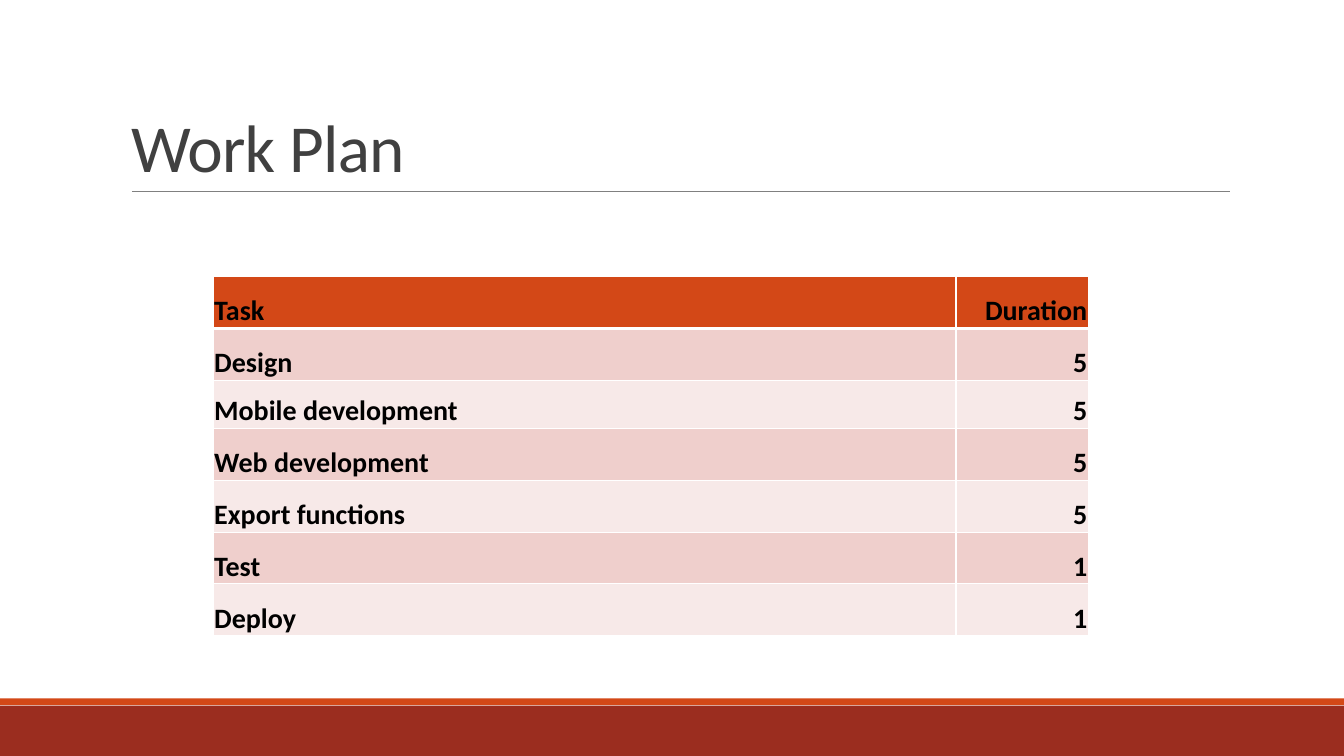
from lxml.etree import SubElement
from pptx import Presentation
from pptx.dml.color import RGBColor
from pptx.enum.shapes import MSO_CONNECTOR as CONN, MSO_SHAPE as SHAPE
from pptx.enum.text import MSO_ANCHOR as ANCHOR, PP_ALIGN as ALIGN
from pptx.oxml import parse_xml
from pptx.oxml.ns import nsdecls, qn
from pptx.util import Pt

ROWS = [
    ("Task", "Duration"),
    ("Design", "5"),
    ("Mobile development", "5"),
    ("Web development", "5"),
    ("Export functions", "5"),
    ("Test", "1"),
    ("Deploy", "1"),
]
ROW_HEIGHTS = [37, 37, 34.5, 37, 37, 37, 37]
COL_WIDTHS = [530.6, 94.4]


def rgb(color):
    return RGBColor.from_string(color)


def apply(obj, values):
    for name, value in values.items():
        setattr(obj, name, value)


class Deck:
    font = "Calibri"
    accent = "D34817"
    dark = "9B2D1F"
    bands = ("F7E9E8", "EFCFCC")
    border = "FFFFFF"

    def __init__(self, width, height):
        self.prs = Presentation()
        apply(self.prs, {"slide_width": Pt(width), "slide_height": Pt(height)})
        self.s = self.prs.slides.add_slide(self.prs.slide_layouts[5])

    def add_text(self, tf, text, size, color, align=ALIGN.LEFT, bold=False):
        p = tf.paragraphs[0]
        p.alignment = align
        r = p.add_run()
        r.text = text
        apply(r.font, {"name": self.font, "size": Pt(size), "bold": bold})
        r.font.color.rgb = rgb(color)
        return p, r

    def bar(self, x, y, w, h, color):
        sp = self.s.shapes.add_shape(SHAPE.RECTANGLE, Pt(x), Pt(y), Pt(w), Pt(h))
        sp.shadow.inherit = False
        sp.fill.solid()
        sp.fill.fore_color.rgb = rgb(color)
        sp.line.fill.background()

    def rule(self, x1, x2, y, color, width):
        ln = self.s.shapes.add_connector(CONN.STRAIGHT, Pt(x1), Pt(y), Pt(x2), Pt(y))
        ln.line.color.rgb = rgb(color)
        ln.line.width = Pt(width)
        SubElement(ln._element.spPr, qn("a:effectLst"))

    def title(self, text, x, y, w, h):
        sp = self.s.shapes.title
        apply(sp, {"left": Pt(x), "top": Pt(y), "width": Pt(w), "height": Pt(h)})
        apply(sp.text_frame, {"vertical_anchor": ANCHOR.BOTTOM, "word_wrap": True})
        p, r = self.add_text(sp.text_frame, text, 48, "404040")
        p.line_spacing = 0.85
        r.font._element.set("spc", "-50")

    def cell_borders(self, cell, widths):
        tc_pr = cell._tc.get_or_add_tcPr()
        for i, (side, width) in enumerate(widths.items()):
            tc_pr.insert(i, parse_xml(
                f'<a:ln{side} {nsdecls("a")} w="{Pt(width)}"><a:solidFill>'
                f'<a:srgbClr val="{self.border}"/></a:solidFill></a:ln{side}>'))

    def table(self, rows, x, y, widths, heights):
        frame = self.s.shapes.add_table(len(rows), len(widths), Pt(x), Pt(y),
                                        Pt(sum(widths)), Pt(sum(heights)))
        tbl = frame.table
        for col, width in zip(tbl.columns, widths):
            col.width = Pt(width)
        for row, height in zip(tbl.rows, heights):
            row.height = Pt(height)
        for i, row in enumerate(rows):
            for j, text in enumerate(row):
                cell = tbl.cell(i, j)
                apply(cell, {"margin_left": Pt(0.7), "margin_right": Pt(0.7),
                             "margin_top": Pt(0.7), "margin_bottom": Pt(0),
                             "vertical_anchor": ANCHOR.BOTTOM})
                cell.fill.solid()
                cell.fill.fore_color.rgb = rgb(self.bands[i % 2] if i else self.accent)
                self.add_text(cell.text_frame, text, 20, "000000",
                              ALIGN.RIGHT if j else ALIGN.LEFT, bold=True)
                self.cell_borders(cell, {"L": 1, "R": 1, "T": 3 if i == 1 else 1,
                                         "B": 1 if i else 3})


def main():
    deck = Deck(960, 540)
    deck.bar(0, 504, 960, 36, deck.dark)
    deck.bar(0, 498.8, 960, 5, deck.accent)
    deck.rule(94.2, 878.8, 136.8, "808080", 0.5)
    deck.title("Work Plan", 86.4, 22.6, 792, 114.2)
    deck.table(ROWS, 152.3, 197.6, COL_WIDTHS, ROW_HEIGHTS)
    deck.prs.save("out.pptx")


if __name__ == "__main__":
    main()
